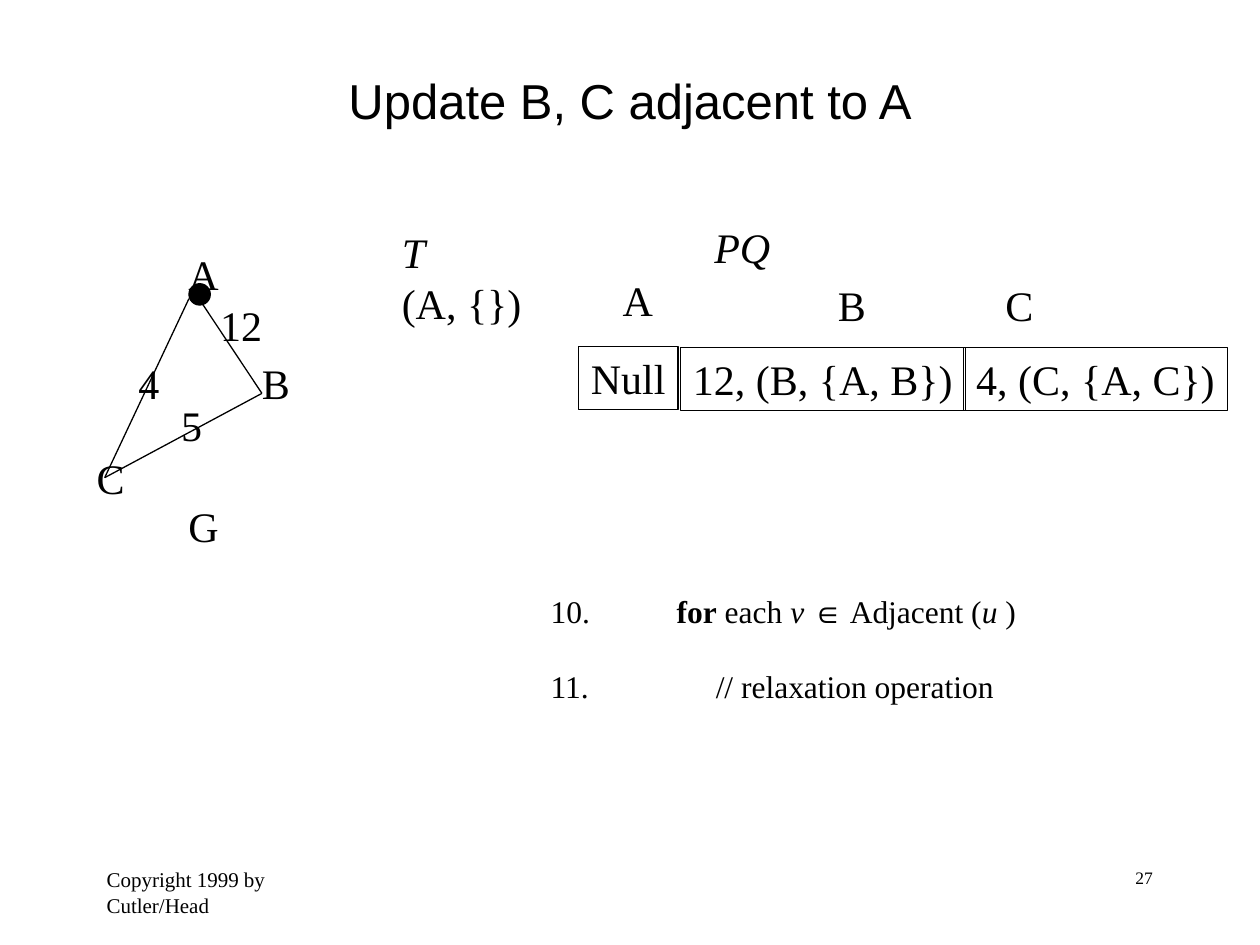
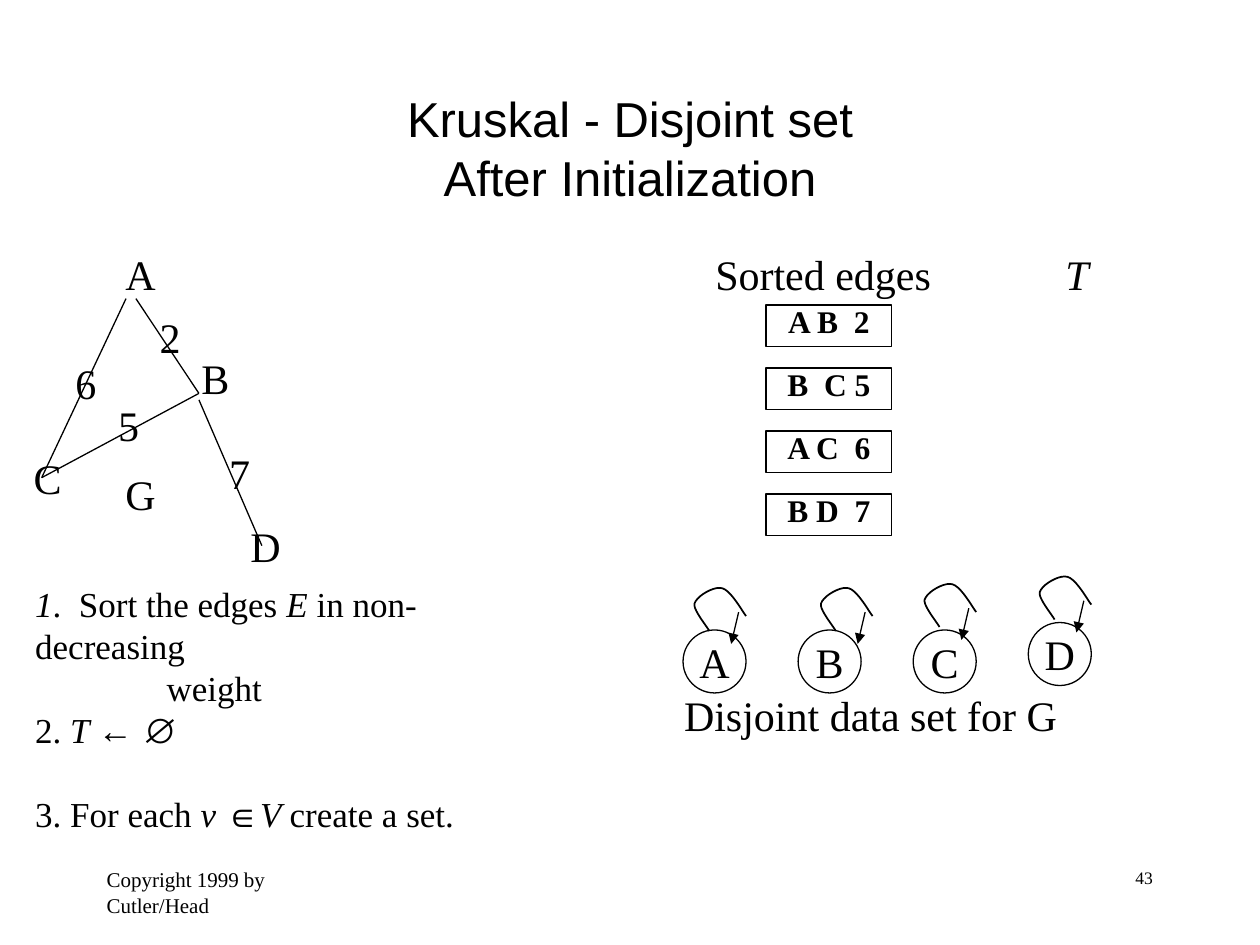
"""Build two slides on minimum spanning trees: a queue update and a Kruskal start."""
from lxml import etree
from pptx import Presentation
from pptx.dml.color import RGBColor
from pptx.enum.shapes import MSO_CONNECTOR, MSO_SHAPE
from pptx.enum.text import MSO_ANCHOR, MSO_AUTO_SIZE, PP_ALIGN
from pptx.oxml.ns import qn
from pptx.util import Cm, Pt

BLACK = RGBColor(0, 0, 0)
SERIF, SANS = "Times New Roman", "Arial"
LETTER_W, DIGIT_W, LABEL_H = 1.1, 0.92, 1.27
EDGE_AC = (2.11, 1.14, 0.41, 4.75)
EDGE_AB = (2.31, 1.14, 3.58, 3.05)
EDGE_BC = (3.58, 3.05, 0.41, 4.75)
EDGE_BD = (3.58, 3.18, 4.85, 6.12)
LOOP = [(0, 0), (-0.08, -0.1), (-0.3, -0.51), (-0.48, -0.56), (-0.64, -0.61),
        (-0.99, -0.41), (-1.04, -0.25), (-1.07, -0.13), (-0.81, 0.18), (-0.74, 0.3)]


def style(p, size, font=SERIF, bold=None, italic=None, align=PP_ALIGN.LEFT):
    """Format a whole paragraph."""
    p.alignment = align
    f = p.font
    f.name, f.size, f.bold, f.italic = font, Pt(size), bold, italic
    f.color.rgb = BLACK


def add_runs(p, runs):
    """Add (text, kind) runs: b is bold, i is italic, s is a sans symbol."""
    for text, kind in runs:
        r = p.add_run()
        r.text = text
        if kind == "b":
            r.font.bold = True
        elif kind == "i":
            r.font.italic = True
        elif kind == "s":
            r.font.name = SANS


def add_tab(p, pos):
    """Give a paragraph one left tab stop."""
    tabs = etree.SubElement(p._p.get_or_add_pPr(), qn("a:tabLst"))
    etree.SubElement(tabs, qn("a:tab"), pos=str(Cm(pos)), algn="l")


def label(s, text, x, y, w=LETTER_W, h=LABEL_H, size=24, wrap=False, **fmt):
    """Place a text box with evenly formatted paragraphs."""
    tf = s.shapes.add_textbox(Cm(x), Cm(y), Cm(w), Cm(h)).text_frame
    tf.word_wrap = wrap
    tf.text = text
    for p in tf.paragraphs:
        style(p, size, **fmt)
    return tf


def rich_box(s, x, y, w, h, size, lines, line_spacing=None):
    """Place a box of lines, each given as (runs, tab stop, space before)."""
    tf = s.shapes.add_textbox(Cm(x), Cm(y), Cm(w), Cm(h)).text_frame
    tf.word_wrap = True
    for n, (runs, tab, before) in enumerate(lines):
        p = tf.add_paragraph() if n else tf.paragraphs[0]
        if before:
            p.space_before = Pt(before)
        if line_spacing:
            p.line_spacing = Pt(line_spacing)
        if tab:
            add_tab(p, tab)
        style(p, size)
        add_runs(p, runs)


def outline(sp, width=0.75):
    """Leave a shape unfilled with a thin black outline."""
    sp.shadow.inherit = False
    sp.fill.background()
    sp.line.color.rgb = BLACK
    sp.line.width = Pt(width)


def shape(s, kind, x, y, w, h, text="", size=24, anchor=MSO_ANCHOR.TOP, wrap=False, **fmt):
    """Place an outlined preset shape with optional text."""
    sp = s.shapes.add_shape(kind, Cm(x), Cm(y), Cm(w), Cm(h))
    outline(sp)
    if text:
        tf = sp.text_frame
        tf.text, tf.word_wrap, tf.vertical_anchor = text, wrap, anchor
        style(tf.paragraphs[0], size, **fmt)
    return sp


def line(s, x1, y1, x2, y2, arrow=False):
    """Draw a thin straight line, with an arrowhead at its end if asked."""
    c = s.shapes.add_connector(MSO_CONNECTOR.STRAIGHT, Cm(x1), Cm(y1), Cm(x2), Cm(y2))
    c.line.color.rgb = BLACK
    c.line.width = Pt(0.75)
    if arrow:
        etree.SubElement(c.line._get_or_add_ln(), qn("a:tailEnd"), type="triangle")
    etree.SubElement(c._element.spPr, qn("a:effectLst"))


def new_slide(prs, title, number, top, height):
    """Add a slide with its title, copyright line and number."""
    s = prs.slides.add_slide(prs.slide_layouts[5])
    t = s.shapes.title
    t.left, t.top, t.width, t.height = Cm(1.9), Cm(top), Cm(21.6), Cm(height)
    tf = t.text_frame
    tf.text = title
    tf.auto_size, tf.vertical_anchor = MSO_AUTO_SIZE.NONE, MSO_ANCHOR.MIDDLE
    for p in tf.paragraphs:
        p.space_before = Pt(0)
        style(p, 28, SANS, align=PP_ALIGN.CENTER)
    label(s, "Copyright 1999 by Cutler/Head", 1.9, 17.35, 5.28, size=12, wrap=True)
    label(s, number, 18.21, 17.35, 5.28, size=10, wrap=True, align=PP_ALIGN.RIGHT)
    return s


def graph(s, x, y, edges, labels):
    """Draw a weighted graph with its labels relative to a corner."""
    for x1, y1, x2, y2 in edges:
        line(s, x + x1, y + y1, x + x2, y + y2)
    for text, dx, dy in labels:
        w = LETTER_W if text.isalpha() else DIGIT_W + 0.43 * (len(text) - 1)
        label(s, text, x + dx, y + dy, w)


def priority_queue(s, x, y):
    """Draw the queue entries under their vertex names."""
    label(s, "PQ", x + 2.49, y, 1.63, italic=True)
    for name, dx, dy in (("A", 0.64, 1.07), ("B", 4.98, 1.17), ("C", 8.36, 1.17)):
        label(s, name, x + dx, y + dy)
    for entry, dx, dy, w in (("Null", 0, 2.64, 2.01),
                             ("12, (B, {A, B})", 2.06, 2.67, 5.74),
                             ("4, (C, {A, C})", 7.77, 2.67, 5.31)):
        shape(s, MSO_SHAPE.RECTANGLE, x + dx, y + dy, w, LABEL_H, entry)


def sorted_edges(s, x, y):
    """Stack the edges in order of weight under their heading."""
    label(s, "Sorted edges", x, y, 4.85)
    for n, edge in enumerate(("A B  2", "B  C 5", "A C  6", "B D  7")):
        sp = shape(s, MSO_SHAPE.RECTANGLE, x + 1.27, y + 1.27 * (n + 1), 2.54, 0.84, edge,
                   18, wrap=True, bold=True, align=PP_ALIGN.CENTER)
        sp.text_frame.paragraphs[0].line_spacing = 0.75


def curve(points, steps=10):
    """Return points along joined cubic curves."""
    result = [points[0]]
    for n in range(0, len(points) - 1, 3):
        for k in range(1, steps + 1):
            t = k / steps
            weights = ((1 - t) ** 3, 3 * t * (1 - t) ** 2, 3 * t * t * (1 - t), t ** 3)
            result.append(tuple(sum(w * q[axis] for w, q in zip(weights, points[n:n + 4]))
                                for axis in (0, 1)))
    return result


def self_loop(s, x, y):
    """Draw a curved pointer that leads back to its own node."""
    points = [(Cm(x + dx), Cm(y + dy)) for dx, dy in curve(LOOP)]
    fb = s.shapes.build_freeform(*points[0])
    fb.add_line_segments(points[1:], close=False)
    outline(fb.convert_to_shape(), 1)
    line(s, x - 0.15, y - 0.08, x - 0.3, y + 0.56, arrow=True)


def disjoint_sets(s, x, y):
    """Draw one self-pointing node per vertex, with a caption."""
    nodes = (("A", 0, 1.27, -0.28), ("B", 0, 1.5, -0.28),
             ("C", 0, 1.27, -0.36), ("D", -0.15, 1.27, -0.36))
    for n, (name, dy, loop_x, loop_y) in enumerate(nodes):
        left, top = x + 2.32 * n, y + dy
        shape(s, MSO_SHAPE.OVAL, left, top, 1.27, 1.27, name,
              anchor=MSO_ANCHOR.MIDDLE, align=PP_ALIGN.CENTER)
        self_loop(s, left + loop_x, top + loop_y)
    label(s, "Disjoint data set for G", x - 0.23, y + 1.07, 8.03)


def update_slide(prs):
    """Build the slide that updates the neighbours of A."""
    s = new_slide(prs, "Update B, C adjacent to A", "27", 0.84, 2.34)
    tf = label(s, "T\n(A, {})", 7.85, 4.45, 2.92, 2.29)
    tf.paragraphs[0].font.italic = True
    priority_queue(s, 11.66, 4.34)
    x, y = 1.7, 4.88
    graph(s, x, y, (EDGE_AC, EDGE_AB, EDGE_BC),
          (("A", 1.85, 0), ("B", 3.33, 2.21), ("C", 0, 4.11), ("12", 2.49, 1.04),
           ("5", 1.7, 3.05), ("4", 0.84, 2.21), ("G", 1.85, 5.08)))
    dot = shape(s, MSO_SHAPE.OVAL, x + 2.11, y + 0.84, 0.43, 0.43)
    dot.fill.solid()
    dot.fill.fore_color.rgb = BLACK
    rich_box(s, 10.85, 11.81, 9.91, 2.54, 18, (
        ([("10.\t", ""), ("for", "b"), (" each ", ""), ("v ", "i"), ("∈", "s"),
          (" Adjacent (", ""), ("u", "i"), (" )", "")], 2.54, 0),
        ([("11.\t// relaxation operation", "")], 3.33, 21)))


def kruskal_slide(prs):
    """Build the slide that shows the state after initialization."""
    s = new_slide(prs, "Kruskal - Disjoint set\nAfter Initialization", "43", 1.07, 3.81)
    graph(s, 0.43, 4.88, (EDGE_AC, EDGE_AB, EDGE_BC, EDGE_BD),
          (("A", 1.85, 0), ("B", 3.38, 2.11), ("C", 0, 4.11), ("D", 4.37, 5.49),
           ("2", 2.54, 1.27), ("5", 1.7, 3.05), ("6", 0.84, 2.21), ("7", 3.94, 4.01),
           ("G", 1.85, 4.45)))
    rich_box(s, 0.46, 11.61, 11.15, 6.2, 20, (
        ([("1", "i"), (".  Sort the edges ", ""), ("E", "i"),
          (" in non-decreasing", "")], None, 0),
        ([("\tweight", "")], 2.65, 0),
        ([("2. ", ""), ("T ", "i"), ("← ∅", "s")], None, 0),
        ([("3. For each ", ""), ("v ", "i"), ("∈", "s"), ("V ", "i"),
          ("create a set.", "")], None, 24)), line_spacing=24)
    sorted_edges(s, 14.17, 4.88)
    label(s, "T", 21.23, 4.88, 0.97, italic=True)
    disjoint_sets(s, 13.77, 12.7)


def main():
    """Build and save the presentation."""
    prs = Presentation()
    prs.slide_width, prs.slide_height = Cm(25.4), Cm(19.05)
    update_slide(prs)
    kruskal_slide(prs)
    prs.save("out.pptx")


if __name__ == "__main__":
    main()
